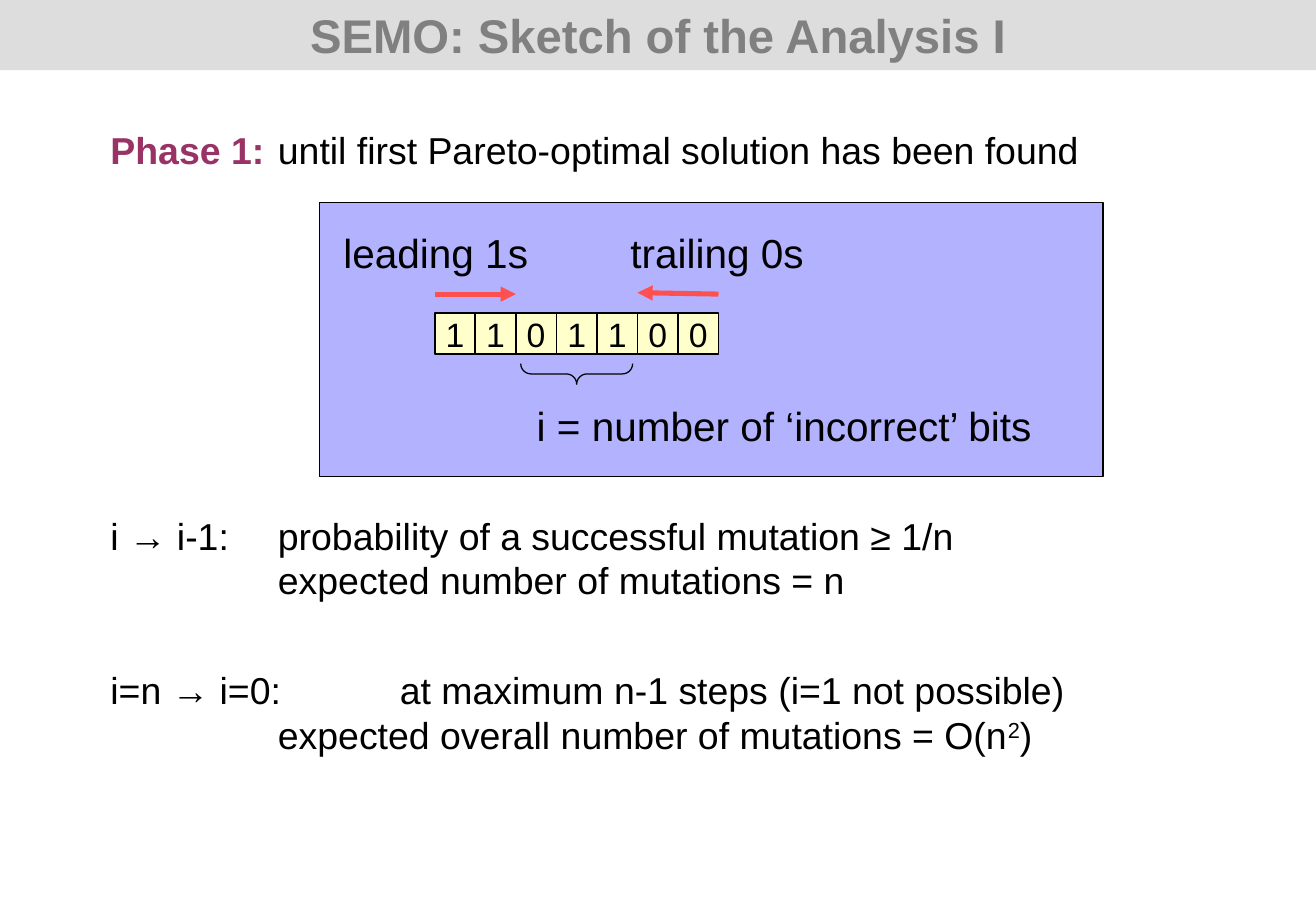
from lxml import etree
from pptx import Presentation
from pptx.dml.color import RGBColor
from pptx.enum.shapes import MSO_CONNECTOR, MSO_SHAPE
from pptx.enum.text import MSO_ANCHOR, PP_ALIGN
from pptx.oxml.ns import qn
from pptx.util import Cm, Pt

RECT = MSO_SHAPE.RECTANGLE
BRACE = MSO_SHAPE.RIGHT_BRACE
LINE = MSO_CONNECTOR.STRAIGHT
TOP, MIDDLE = MSO_ANCHOR.TOP, MSO_ANCHOR.MIDDLE
LEFT, CENTER = PP_ALIGN.LEFT, PP_ALIGN.CENTER

BLACK, GRAY, SILVER = "000000", "808080", "DDDDDD"
PLUM, BLUE, CREAM, RED = "993366", "0000FF", "FFFFCC", "FF5050"


def rgb(code):
    return RGBColor.from_string(code)


class Deck:
    font = "Arial"
    leading = 1.2

    def __init__(self, width, height):
        self.show = Presentation()
        self.show.slide_width, self.show.slide_height = Cm(width), Cm(height)
        self.slide = self.show.slides.add_slide(self.show.slide_layouts[6])

    def shape(self, kind, box, fill=None, line=None, alpha=None):
        item = self.slide.shapes.add_shape(kind, *map(Cm, box))
        item.shadow.inherit = False
        if fill:
            item.fill.solid()
            item.fill.fore_color.rgb = rgb(fill)
        else:
            item.fill.background()
        if alpha:
            tone = item._element.spPr.find(".//" + qn("a:srgbClr"))
            etree.SubElement(tone, qn("a:alpha"), val=str(alpha * 1000))
        if line:
            item.line.color.rgb = rgb(BLACK)
            item.line.width = Pt(line)
        else:
            item.line.fill.background()
        return item

    def arrow(self, start, end, color, width):
        item = self.slide.shapes.add_connector(LINE, *map(Cm, start + end))
        item.line.color.rgb = rgb(color)
        item.line.width = Pt(width)
        props = item._element.spPr
        etree.SubElement(props.find(qn("a:ln")), qn("a:tailEnd"), type="triangle")
        etree.SubElement(props, qn("a:effectLst"))

    def frame(self, box):
        return self.slide.shapes.add_textbox(*map(Cm, box))

    def text(self, item, paras, size, align=LEFT, anchor=TOP, wrap=True, tabs=()):
        """Each paragraph is (space before, runs); a run is (words, style)."""
        frame = item.text_frame
        frame.word_wrap = wrap
        frame.vertical_anchor = anchor
        for k, (gap, runs) in enumerate(paras):
            para = frame.paragraphs[0] if k == 0 else frame.add_paragraph()
            para.alignment = align
            para.line_spacing = Pt(round(self.leading * size, 1))
            para.space_before = Pt(gap)
            if tabs:
                stops = etree.SubElement(para._p.get_or_add_pPr(), qn("a:tabLst"))
                for stop in tabs:
                    etree.SubElement(stops, qn("a:tab"), pos=str(Cm(stop)), algn="l")
            for words, style in runs:
                for n, part in enumerate(words.split("\n")):
                    if n:
                        para.add_line_break()
                    self.run(para, part, size, **style)

    def run(self, para, words, size, color=BLACK, bold=False, base=0):
        run = para.add_run()
        run.text = words
        run.font.name = self.font
        run.font.size = Pt(size)
        run.font.bold = bold
        run.font.color.rgb = rgb(color)
        if base:
            run._r.get_or_add_rPr().set("baseline", str(base * 1000))


def main():
    deck = Deck(27.51, 19.05)

    # Title bar
    bar = deck.shape(RECT, (0, 0, 27.51, 1.47), SILVER)
    title = [("SEMO: Sketch of the Analysis I", {"color": GRAY, "bold": True})]
    deck.text(bar, [(0, title)], 28, CENTER, MIDDLE)

    # Panel behind the bit string
    deck.shape(RECT, (6.68, 4.24, 16.38, 5.72), BLUE, 0.75, alpha=30)

    # Main text
    body = [
        (0, [("Phase 1:\t", {"color": PLUM, "bold": True}),
             ("until first Pareto-optimal solution has been found", {})]),
        (201.8, [("i → i-1:\tprobability of a successful mutation ≥ 1/n\n"
                  "\texpected number of mutations = n", {})]),
        (38.6, [("i=n → i=0:\tat maximum n-1 steps (i=1 not possible)\n"
                 "\texpected overall number of mutations = O(n", {}),
                ("2", {"base": 30}), (")", {})]),
    ]
    deck.text(deck.frame((2.06, 2.54, 23.37, 15.44)), body, 22.2, tabs=(3.5, 6.05))

    # Bit string
    left, right, count = 9.09, 15.02, 7
    step = (right - left) / count
    for k, bit in enumerate("1101100"):
        cell = deck.shape(RECT, (left + k * step, 6.55, step, 0.85), CREAM, 1)
        deck.text(cell, [(0, [(bit, {})])], 20, CENTER, MIDDLE, wrap=False)

    # Arrows over the outer bits
    deck.arrow((left, 6.15), (left + 2 * step, 6.15), RED, 3)
    deck.arrow((right, 6.15), (right - 2 * step, 6.12), RED, 3)

    # Brace under the wrong bits
    brace = deck.shape(BRACE, (11.84, 6.65, 0.43, 2.34), line=0.75)
    brace.adjustments[0] = 0.5
    brace.rotation = 90

    # Labels
    for box, words, tabs in (
        ((6.93, 4.65, 10.49, 1.27), "leading 1s\ttrailing 0s", (6,)),
        ((10.97, 8.26, 11.58, 1.27), "i = number of ‘incorrect’ bits", ()),
    ):
        deck.text(deck.frame(box), [(0, [(words, {})])], 24, tabs=tabs)

    deck.show.save("out.pptx")


if __name__ == "__main__":
    main()
